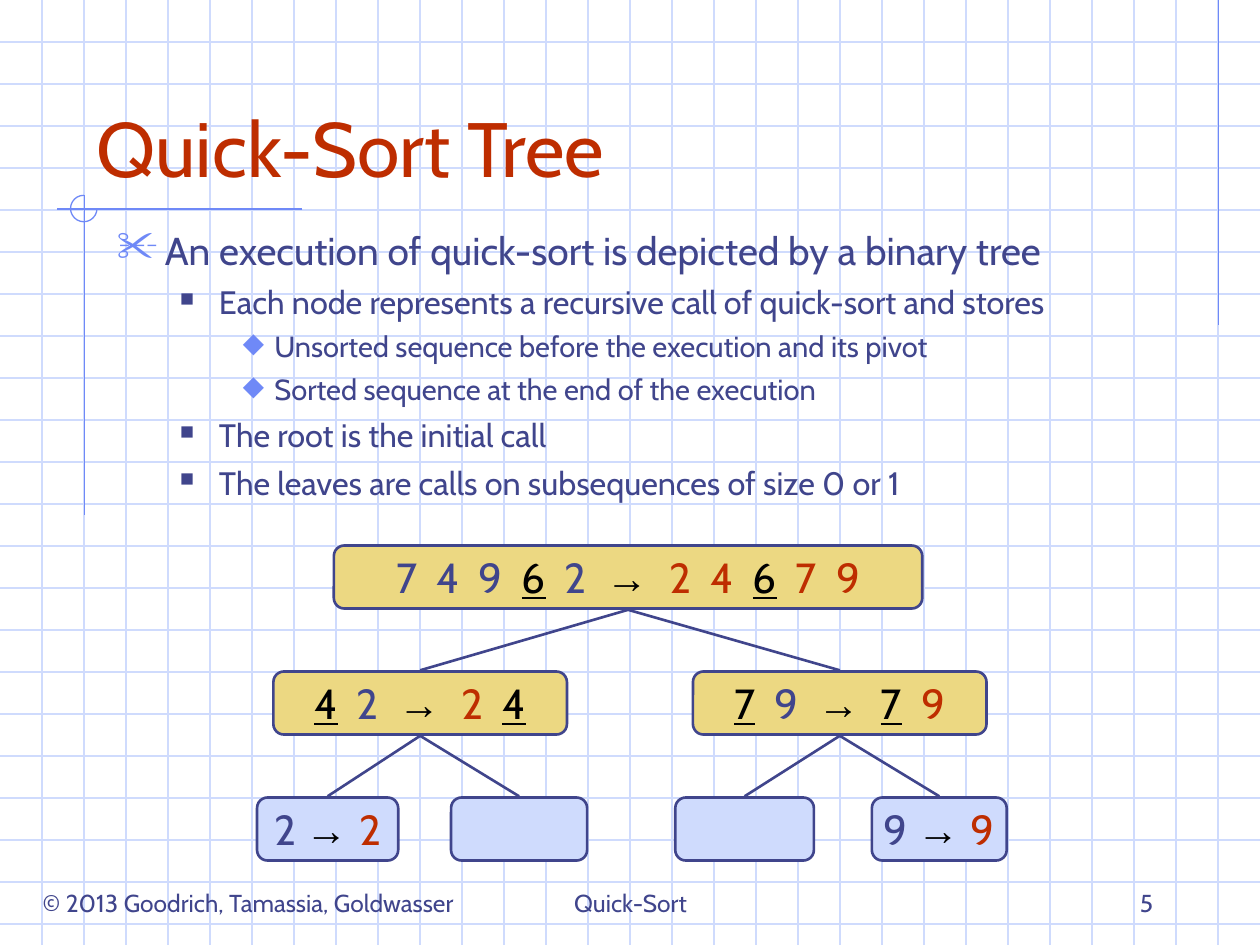
from itertools import groupby

from pptx import Presentation, util as u
from pptx.dml import color
from pptx.enum import shapes, text
from pptx.oxml import xmlchemy

COLORS = {
    "ink": "40458C", "red": "BE2D00", "black": "000000",
    "grid": "CFDBFD", "accent": "6F89F7",
    "inner": "ECD882", "leaf": "CFDBFD", "page": "FFFFFF",
}
LEFT, CENTER, RIGHT = text.PP_ALIGN.LEFT, text.PP_ALIGN.CENTER, text.PP_ALIGN.RIGHT
TOP, MIDDLE, BOTTOM = text.MSO_ANCHOR.TOP, text.MSO_ANCHOR.MIDDLE, text.MSO_ANCHOR.BOTTOM

# Roles of the text in a tree node
ROLES = {
    "unsorted": {"color": "ink"},
    "pivot": {"color": "black", "underline": True},
    "arrow": {"color": "black", "name": "Arial", "bold": True},
    "sorted": {"color": "red"},
}
# Outline levels: left margin, hanging indent, size, space before, bullet, bullet colour, bullet %
LEVELS = [
    (0.38, 0.38, 22.2, 6, "✂", "accent", 110),
    (0.81, 0.31, 18.5, 5, "■", "ink", 60),
    (1.25, 0.25, 16.6, 4.5, "◆", "accent", 95),
]


def rgb(name):
    return color.RGBColor.from_string(COLORS[name])


class SlideBuilder:
    def __init__(self, slide, font="Cabin"):
        self.slide = slide
        self.font = font

    def style(self, font, size, color="ink", **values):
        for key, value in {"name": self.font, "size": u.Pt(size), **values}.items():
            setattr(font, key, value)
        font.color.rgb = rgb(color)

    def outline(self, line, color, width):
        line.color.rgb = rgb(color)
        line.width = u.Pt(width)

    def line(self, start, end, color, width=0.75):
        ends = [u.Inches(v) for v in (*start, *end)]
        link = self.slide.shapes.add_connector(shapes.MSO_CONNECTOR.STRAIGHT, *ends)
        self.outline(link.line, color, width)
        link._element.spPr.append(xmlchemy.OxmlElement("a:effectLst"))

    def arc(self, box, color):
        ring = self.slide.shapes.add_shape(shapes.MSO_SHAPE.ARC, *map(u.Inches, box))
        ring.adjustments[0] = 0
        ring.adjustments[1] = 270 * 0.6  # clockwise from the right to the top
        ring.fill.background()
        self.outline(ring.line, color, 0.75)
        ring.shadow.inherit = False

    def frame(self, box, anchor, wrap=True):
        frame = self.slide.shapes.add_textbox(*map(u.Inches, box)).text_frame
        frame.word_wrap = wrap
        frame.vertical_anchor = anchor
        return frame

    def label(self, box, words, size, color="ink", align=LEFT, anchor=BOTTOM, wrap=True):
        paragraph = self.frame(box, anchor, wrap).paragraphs[0]
        paragraph.alignment = align
        run = paragraph.add_run()
        run.text = words
        self.style(run.font, size, color)

    def outline_list(self, box, items):
        frame = self.frame(box, TOP)
        for i, (level, words) in enumerate(items):
            margin, hang, size, before, bullet, tint, percent = LEVELS[level]
            paragraph = frame.add_paragraph() if i else frame.paragraphs[0]
            paragraph.level = level
            if i:
                paragraph.space_before = u.Pt(before)
            props = paragraph._p.get_or_add_pPr()
            props.set("marL", str(u.Inches(margin)))
            props.set("indent", str(-u.Inches(hang)))
            for tag, value in (("buClr", None), ("buSzPct", percent * 1000), ("buChar", bullet)):
                part = xmlchemy.OxmlElement(f"a:{tag}")
                if tag == "buClr":
                    fill = xmlchemy.OxmlElement("a:srgbClr")
                    fill.set("val", COLORS[tint])
                    part.append(fill)
                else:
                    part.set("char" if tag == "buChar" else "val", str(value))
                props.append(part)
            run = paragraph.add_run()
            run.text = words
            self.style(run.font, size)

    def node(self, box, fill, sequence, gap):
        """Rounded node; gap is the extra width in points for each space."""
        node = self.slide.shapes.add_shape(
            shapes.MSO_SHAPE.ROUNDED_RECTANGLE, *map(u.Inches, box))
        node.fill.solid()
        node.fill.fore_color.rgb = rgb(fill)
        self.outline(node.line, "ink", 1.5)
        node.shadow.inherit = False
        frame = node.text_frame
        frame.word_wrap = False
        frame.vertical_anchor = MIDDLE
        frame.paragraphs[0].alignment = CENTER
        for role, words in sequence:
            for is_space, letters in groupby(words, str.isspace):
                run = frame.paragraphs[0].add_run()
                run.text = "".join(letters)
                self.style(run.font, 24, **ROLES[role])
                if is_space and gap:
                    run.font._element.set("spc", str(round(100 * gap)))


def main():
    deck = Presentation()
    deck.slide_width, deck.slide_height = u.Inches(10), u.Inches(7.5)
    slide = deck.slides.add_slide(deck.slide_layouts[6])
    slide.background.fill.solid()
    slide.background.fill.fore_color.rgb = rgb("page")
    page = SlideBuilder(slide)

    # Graph paper: three lines to the inch
    for row in range(1, 23):
        page.line((0, row / 3), (10, row / 3), "grid")
    for column in range(1, 30):
        page.line((column / 3, 0), (column / 3, 7.5), "grid")

    # Ornament lines and open ring
    for start, end in [((9.67, 0), (9.67, 2.58)), ((2.4, 1.66), (0.45, 1.66)),
                       ((0.67, 1.55), (0.67, 4.09))]:
        page.line(start, end, "accent")
    page.arc((0.56, 1.55, 0.21, 0.21), "accent")

    # Footer
    page.label((0.03, 7, 3.88, 0.34), "© 2013 Goodrich, Tamassia, Goldwasser", 14,
               align=CENTER, anchor=TOP, wrap=False)
    page.label((3.42, 6.83, 3.17, 0.5), "Quick-Sort", 14, align=CENTER)
    page.label((7.17, 6.83, 2.08, 0.5), "5", 14, align=RIGHT)

    # Title and outline
    page.label((0.67, 0.33, 8.5, 1.25), "Quick-Sort Tree", 44, "red")
    page.outline_list((0.83, 1.75, 8.67, 2.5), [
        (0, "An execution of quick-sort is depicted by a binary tree"),
        (1, "Each node represents a recursive call of quick-sort and stores"),
        (2, "Unsorted sequence before the execution and its pivot"),
        (2, "Sorted sequence at the end of the execution"),
        (1, "The root is the initial call"),
        (1, "The leaves are calls on subsequences of size 0 or 1"),
    ])

    # Tree nodes in level order: depth, left, width, sequence
    tree = [
        (0, 2.65, 4.67, [("unsorted", "7 4 9 "), ("pivot", "6"), ("unsorted", " 2 "),
                         ("arrow", "→ "), ("sorted", "2 4 "), ("pivot", "6"),
                         ("sorted", " 7 9")]),
        (1, 2.17, 2.33, [("pivot", "4"), ("unsorted", " 2 "), ("arrow", "→ "),
                         ("sorted", "2 "), ("pivot", "4")]),
        (1, 5.5, 2.33, [("pivot", "7"), ("unsorted", " 9 "), ("arrow", "→ "),
                        ("pivot", "7"), ("sorted", " 9")]),
        (2, 2.04, 1.12, [("unsorted", "2 "), ("arrow", "→ "), ("sorted", "2")]),
        (2, 3.58, 1.08, []),
        (2, 5.36, 1.1, []),
        (2, 6.92, 1.07, [("unsorted", "9 "), ("arrow", "→ "), ("sorted", "9")]),
    ]
    height, first_top = 0.5, 4.33
    for depth, left, width, sequence in tree:
        is_leaf = depth == 2
        page.node((left, first_top + depth, width, height),
                  "leaf" if is_leaf else "inner", sequence, 0 if is_leaf else 5.5)

    # Edges from each child to its parent
    centers = [(left + width / 2, first_top + depth) for depth, left, width, _ in tree]
    for child in range(1, len(tree)):
        x, y = centers[child]
        parent_x, parent_y = centers[(child - 1) // 2]
        page.line((x, y - 0.01), (parent_x, parent_y + height + 0.01), "ink", 1.5)

    deck.save("out.pptx")


if __name__ == "__main__":
    main()
